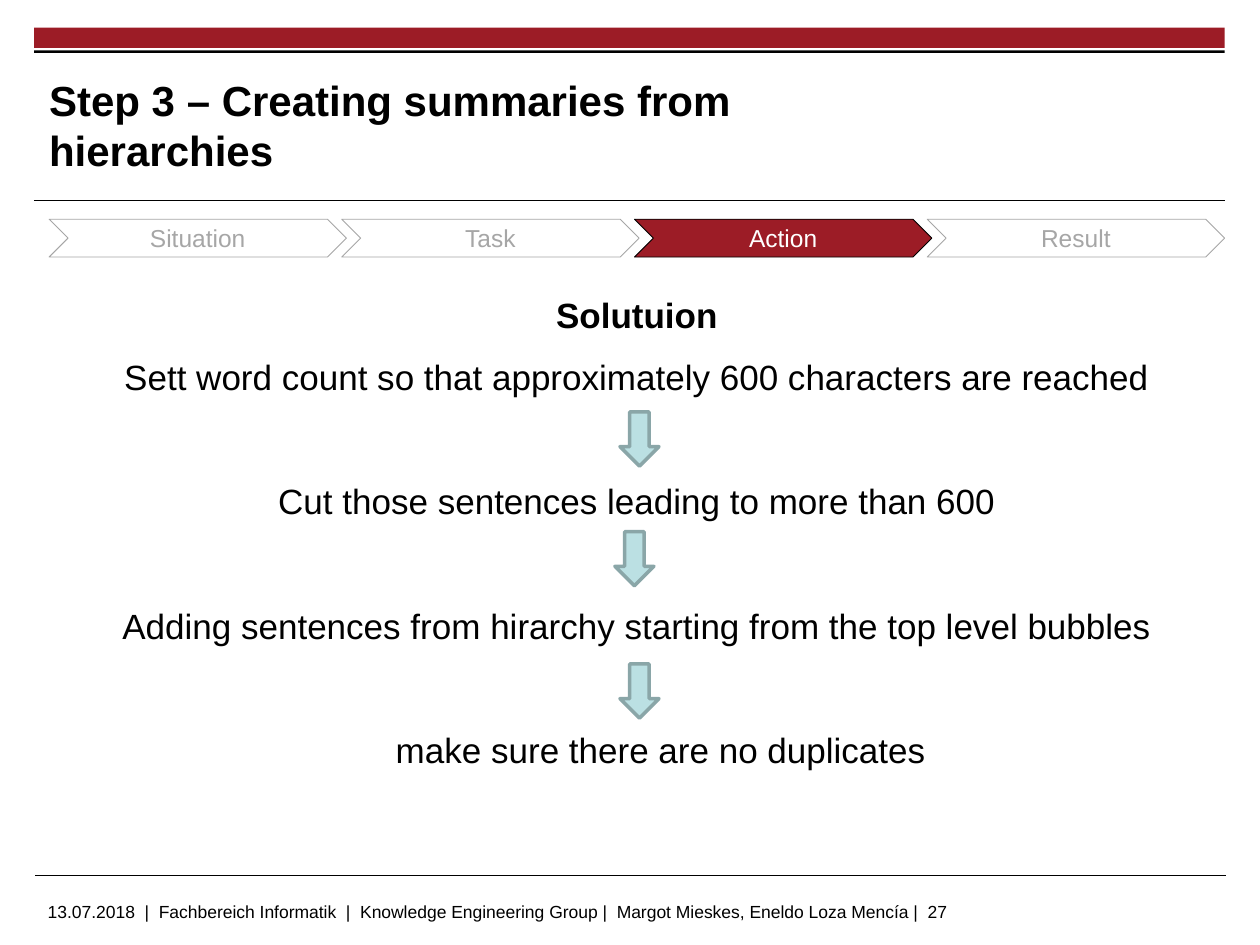
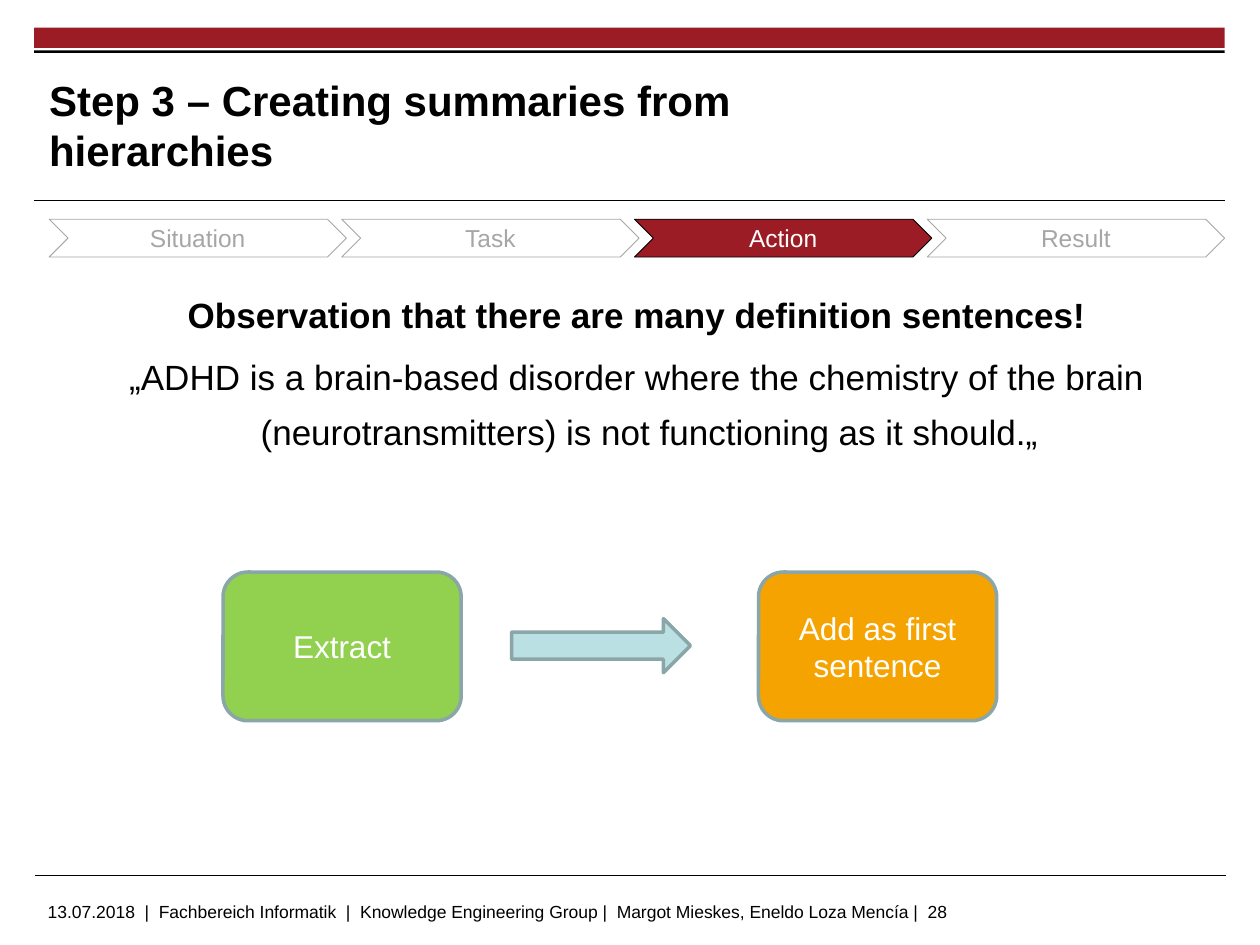
from pptx import Presentation
from pptx.dml.color import RGBColor
from pptx.enum.shapes import MSO_CONNECTOR as Line, MSO_SHAPE as Shape
from pptx.enum.text import MSO_ANCHOR as Anchor, PP_ALIGN as Align
from pptx.oxml.ns import qn
from pptx.util import Inches, Pt
from lxml import etree

# Content
TITLE = "Step 3 – Creating summaries from hierarchies"
FOOTER = ("13.07.2018  |  Fachbereich Informatik  |  Knowledge Engineering Group"
          " |  Margot Mieskes, Eneldo Loza Mencía |  ")
PHASES = ["Situation", "Task", "Action", "Result"]
ACTIVE = "Action"
HANG = (0.2, -0.2)

# Body lines: text, bold, (left margin, first-line indent), space before
SOLUTION = [
    ("Solutuion", True, HANG, 2),
    ("Sett word count so that approximately 600 characters are reached", False, (0, 0), 2),
    ("Cut those sentences leading to more than 600", False, (0, 0), 37.5),
    ("Adding sentences from hirarchy starting from the top level bubbles", False, (0, 0), 37.5),
    ("make sure there are no duplicates", False, (0.38, 0), 37.5),
]
FINDING = [
    ("Observation that there are many definition sentences!", True, HANG, 2),
    ("„ADHD is a brain-based disorder where the chemistry of the brain "
     "(neurotransmitters) is not functioning as it should.„", False, HANG, 2),
]
DOWN = [(4.92, 3.27), (4.88, 4.22), (4.92, 5.27)]
BOXES = [(1.77, "92D050", ["Extract"]),
         (6.02, "F5A300", ["Add as first", "sentence"])]

# Style
FONT = "Arial"
RED, BLACK, WHITE, GREY = "9C1C26", "000000", "FFFFFF", "A6A6A6"
AQUA, STEEL = "BBE0E3", "8AA6A8"
LEFT, WIDE = 0.27, 9.45


def color(code):
    return RGBColor.from_string(code)


def write(para, text, size, code=BLACK, bold=False):
    run = para.add_run()
    run.text = text
    font = run.font
    font.name, font.size, font.bold = FONT, Pt(size), bold
    font.color.rgb = color(code)


def add_shape(slide, kind, at, fill, line=None, width=0.5):
    shape = slide.shapes.add_shape(kind, *map(Inches, at))
    shape.shadow.inherit = False
    shape.fill.solid()
    shape.fill.fore_color.rgb = color(fill)
    if line:
        shape.line.color.rgb = color(line)
        shape.line.width = Pt(width)
    else:
        shape.line.fill.background()
    return shape


def label(shape, lines, size, code):
    frame = shape.text_frame
    frame.vertical_anchor = Anchor.MIDDLE
    for i, text in enumerate(lines):
        para = frame.add_paragraph() if i else frame.paragraphs[0]
        para.alignment = Align.CENTER
        write(para, text, size, code)


def add_rule(slide, x, y):
    rule = slide.shapes.add_connector(
        Line.STRAIGHT, Inches(x), Inches(y), Inches(x + WIDE), Inches(y))
    rule.line.color.rgb = color(BLACK)
    rule.line.width = Pt(0.6)
    props = rule._element.find(qn("p:spPr"))
    etree.SubElement(props, qn("a:effectLst"))


def add_text(slide, at, side=0.1, edge=0.05):
    frame = slide.shapes.add_textbox(*map(Inches, at)).text_frame
    frame.word_wrap = True
    frame.margin_left = frame.margin_right = Inches(side)
    frame.margin_top = frame.margin_bottom = Inches(edge)
    return frame


def add_body(slide, lines):
    frame = add_text(slide, (0.39, 2.18, 9.33, 4.49), side=0)
    for i, (text, bold, (margin, indent), before) in enumerate(lines):
        para = frame.add_paragraph() if i else frame.paragraphs[0]
        para.alignment = Align.CENTER
        para.line_spacing = 1.3
        para.space_before, para.space_after = Pt(before), Pt(2.3)
        props = para._p.get_or_add_pPr()
        props.set("marL", str(Inches(margin)))
        props.set("indent", str(Inches(indent)))
        write(para, text, 20, bold=bold)


def add_phases(slide):
    for i, name in enumerate(PHASES):
        fill, line, ink = ((RED, BLACK, WHITE) if name == ACTIVE
                           else (WHITE, GREY, GREY))
        at = (0.39 + i * 2.323, 1.74, 2.36, 0.3)
        label(add_shape(slide, Shape.CHEVRON, at, fill, line), [name], 14, ink)


def add_page(deck, number, lines):
    slide = deck.slides.add_slide(deck.slide_layouts[6])
    # Bands and rules
    add_shape(slide, Shape.RECTANGLE, (LEFT, 0.22, WIDE, 0.16), RED)
    add_rule(slide, LEFT, 1.59)
    add_shape(slide, Shape.RECTANGLE, (LEFT, 0.4, WIDE, 0.02), BLACK)
    add_rule(slide, 0.28, 6.95)
    # Footer, title, body and phases
    foot = add_text(slide, (0.28, 7.1, 7.88, 0.25))
    write(foot.paragraphs[0], f"{FOOTER}{number}", 10)
    head = add_text(slide, (0.39, 0.53, 7.26, 0.92), side=0, edge=0)
    head.vertical_anchor = Anchor.MIDDLE
    write(head.paragraphs[0], TITLE, 24, bold=True)
    add_body(slide, lines)
    add_phases(slide)
    return slide


def main():
    deck = Presentation()
    deck.slide_width, deck.slide_height = Inches(10), Inches(7.5)

    # Steps joined by arrows
    slide = add_page(deck, 27, SOLUTION)
    for x, y in DOWN:
        add_shape(slide, Shape.DOWN_ARROW, (x, y, 0.31, 0.43), AQUA, STEEL, 2)

    # Extract, then add
    slide = add_page(deck, 28, FINDING)
    for x, fill, lines in BOXES:
        box = add_shape(slide, Shape.ROUNDED_RECTANGLE,
                        (x, 4.54, 1.89, 1.18), fill, STEEL, 2)
        label(box, lines, 18, WHITE)
    add_shape(slide, Shape.RIGHT_ARROW, (4.06, 4.91, 1.42, 0.43), AQUA, STEEL, 2)

    deck.save("out.pptx")


if __name__ == "__main__":
    main()
